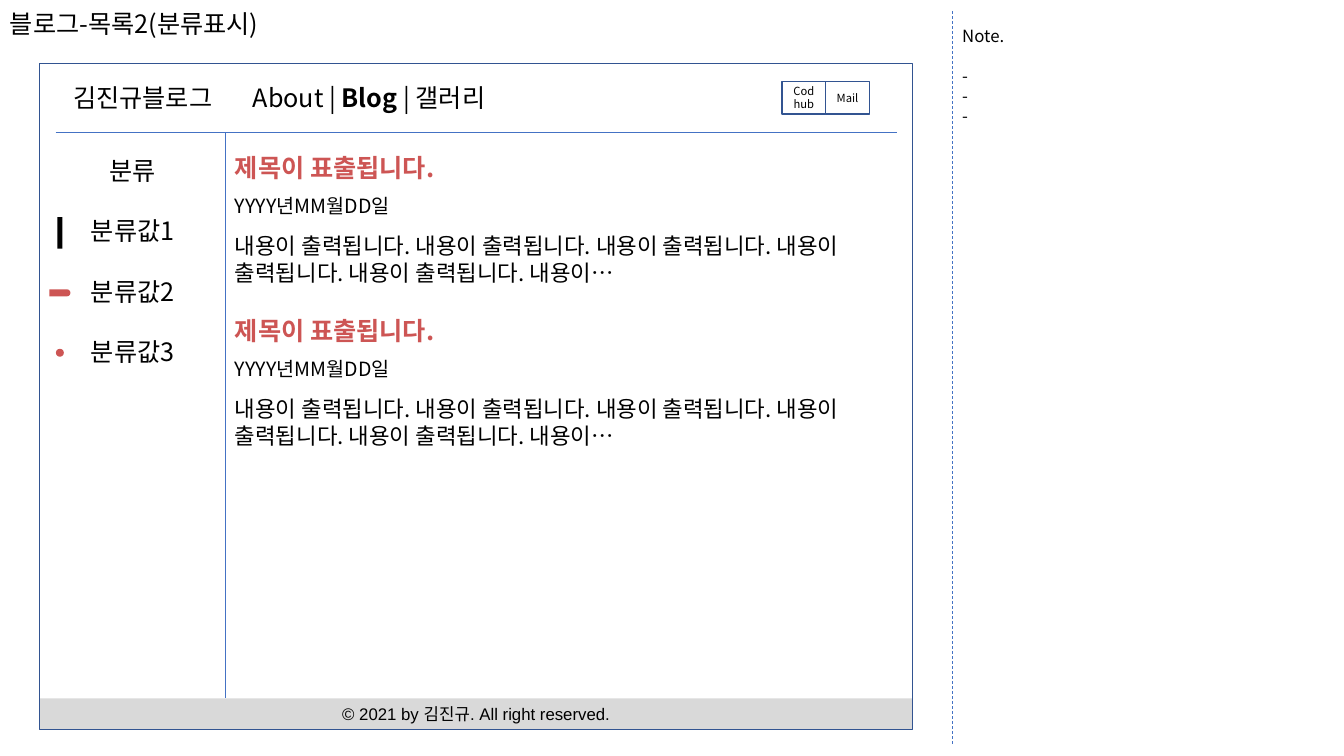
from dataclasses import dataclass

from lxml import etree
from pptx import Presentation
from pptx.dml.color import RGBColor
from pptx.enum.dml import MSO_LINE
from pptx.enum.shapes import MSO_CONNECTOR, MSO_SHAPE
from pptx.enum.text import MSO_ANCHOR, PP_ALIGN
from pptx.oxml.ns import qn
from pptx.util import Cm, Pt

LEFT, CENTER = PP_ALIGN.LEFT, PP_ALIGN.CENTER
TOP, MIDDLE = MSO_ANCHOR.TOP, MSO_ANCHOR.MIDDLE
RECT, OVAL = MSO_SHAPE.RECTANGLE, MSO_SHAPE.OVAL
HALF_ROUND = MSO_SHAPE.ROUND_2_SAME_RECTANGLE
STRAIGHT, DASH = MSO_CONNECTOR.STRAIGHT, MSO_LINE.DASH


@dataclass(frozen=True)
class Theme:
    """Colours, fonts and type sizes."""
    ink: str = "000000"
    accent: str = "CD5554"
    rule: str = "4472C4"
    border: str = "325491"
    footer: str = "D9D9D9"
    font: str = "Noto Sans CJK KR"
    footer_font: str = "Arial"
    heading: int = 18
    body: int = 16
    date: int = 14
    note: int = 12
    button: int = 8


THEME = Theme()

# Content
PAGE_TITLE = "블로그-목록2(분류표시)"
NOTES = ["Note.", "-", "-", "-"]
BLOG_NAME = "김진규블로그"
MENU = [("About | ", False), ("Blog", True), (" | 갤러리", False)]
BUTTONS = ["Codhub", "Mail"]
CATEGORIES = ["분류", "분류값1", "분류값2", "분류값3"]
POST = {
    "title": "제목이 표출됩니다.",
    "date": "YYYY년MM월DD일",
    "body": "내용이 출력됩니다. " * 5 + "내용이…",
}
POSTS = [POST, POST]
COPYRIGHT = "© 2021 by 김진규. All right reserved."

# Layout in centimetres
SLIDE_W, SLIDE_H = 33.87, 19.05
FRAME_X, FRAME_Y, FRAME_W, FRAME_H = 1, 1.6, 22, 16.79
HEADER_H, FOOTER_H, SIDEBAR_W = 1.73, 0.79, 4.69
HEADER_BOTTOM = FRAME_Y + HEADER_H
FOOTER_Y = FRAME_Y + FRAME_H - FOOTER_H
SIDEBAR_RIGHT = FRAME_X + SIDEBAR_W
NOTE_X, MENU_X = 24, 6.12
BUTTON_X, BUTTON_Y, BUTTON_W, BUTTON_H = 19.71, 2.06, 1.1, 0.81
POST_Y, POST_PITCH, POST_W = 3.71, 4.11, 17.32
INSET_X, INSET_Y = 0.25, 0.13
# part, offset from the post top, height, top inset, size, colour, bold
POST_PARTS = [
    ("title", 0, 1.02, INSET_Y, THEME.heading, THEME.accent, True),
    ("date", 1.04, 0.86, INSET_Y, THEME.date, THEME.ink, False),
    ("body", 1.88, 1.75, INSET_X, THEME.body, THEME.ink, False),
]
# shape, centre y, width, height, rotation, colour
MARKER_X = 1.51
MARKERS = [
    (RECT, 5.87, 0.13, 0.79, 0, THEME.ink),
    (OVAL, 8.89, 0.2, 0.2, 0, THEME.accent),
    (HALF_ROUND, 7.38, 0.18, 0.53, 90, THEME.accent),
]


def color(value):
    """Turn a hex string into a colour."""
    return RGBColor.from_string(value)


def add_span(para, text, size, ink=THEME.ink, bold=False, font=THEME.font):
    """Append one run to a paragraph."""
    span = para.add_run()
    span.text = text
    span.font.size, span.font.bold, span.font.name = Pt(size), bold, font
    span.font.color.rgb = color(ink)
    east_asian = etree.SubElement(span.font._element, qn("a:ea"))
    east_asian.set("typeface", THEME.font)


def set_frame(shape, align=LEFT, anchor=MIDDLE, top=INSET_Y):
    """Prepare a shape's text frame and return its first paragraph."""
    frame = shape.text_frame
    frame.word_wrap, frame.vertical_anchor = True, anchor
    frame.margin_left = frame.margin_right = Cm(INSET_X)
    frame.margin_top, frame.margin_bottom = Cm(top), Cm(INSET_Y)
    para = frame.paragraphs[0]
    para.alignment = align
    return para


def add_box(page, x, y, w, h, **layout):
    """Add a text box and return its first paragraph."""
    box = page.shapes.add_textbox(Cm(x), Cm(y), Cm(w), Cm(h))
    return set_frame(box, **layout)


def add_lines(para, frame, lines, size, gaps):
    """Fill a frame with one paragraph per line; gaps are points before each."""
    for index, (text, gap) in enumerate(zip(lines, gaps)):
        line = frame.add_paragraph() if index else para
        line.alignment = para.alignment
        line.space_before = Pt(gap)
        add_span(line, text, size)


def add_list(page, x, y, w, h, lines, size, gaps, **layout):
    """Add a text box holding several spaced lines."""
    box = page.shapes.add_textbox(Cm(x), Cm(y), Cm(w), Cm(h))
    add_lines(set_frame(box, **layout), box.text_frame, lines, size, gaps)


def add_figure(page, kind, x, y, w, h, fill=None, line=None, width=0.5):
    """Add a preset shape with an optional fill and outline."""
    shape = page.shapes.add_shape(kind, Cm(x), Cm(y), Cm(w), Cm(h))
    shape.shadow.inherit = False
    if fill:
        shape.fill.solid()
        shape.fill.fore_color.rgb = color(fill)
    else:
        shape.fill.background()
    if line:
        shape.line.color.rgb, shape.line.width = color(line), Pt(width)
    else:
        shape.line.fill.background()
    return shape


def add_rule(page, x1, y1, x2, y2, dash=None):
    """Add a thin straight line."""
    rule = page.shapes.add_connector(STRAIGHT, Cm(x1), Cm(y1), Cm(x2), Cm(y2))
    rule.line.color.rgb, rule.line.width = color(THEME.rule), Pt(0.5)
    if dash:
        rule.line.dash_style = dash
    etree.SubElement(rule._element.spPr, qn("a:effectLst"))


def add_header(page):
    """Add the blog name, menu, frame and link buttons."""
    name = add_box(page, 1.07, FRAME_Y, 5.05, HEADER_H, align=CENTER)
    add_span(name, BLOG_NAME, THEME.heading)
    menu = add_box(page, MENU_X, FRAME_Y, FRAME_X + FRAME_W - MENU_X, HEADER_H)
    for text, bold in MENU:
        add_span(menu, text, THEME.heading, bold=bold)
    add_figure(page, RECT, FRAME_X, FRAME_Y, FRAME_W, FRAME_H, line=THEME.border)
    for index, label in enumerate(BUTTONS):
        button = add_figure(page, RECT, BUTTON_X + index * BUTTON_W, BUTTON_Y,
                            BUTTON_W, BUTTON_H, line=THEME.border, width=1)
        add_span(set_frame(button, align=CENTER), label, THEME.button)


def add_post(page, post, top):
    """Add the title, date and summary of one post."""
    for part, offset, height, inset, size, ink, bold in POST_PARTS:
        para = add_box(page, SIDEBAR_RIGHT - 0.02, top + offset, POST_W, height,
                       top=inset)
        add_span(para, post[part], size, ink, bold)


def build():
    """Build and save the slide."""
    deck = Presentation()
    deck.slide_width, deck.slide_height = Cm(SLIDE_W), Cm(SLIDE_H)
    page = deck.slides.add_slide(deck.slide_layouts[6])

    add_span(add_box(page, 0, 0, NOTE_X, 1.19), PAGE_TITLE, THEME.heading)
    add_list(page, NOTE_X, 0, SLIDE_W - NOTE_X, SLIDE_H, NOTES, THEME.note,
             [0, 14.4, 0, 0], anchor=TOP, top=0.64)
    add_rule(page, NOTE_X, 0.28, NOTE_X, SLIDE_H - 0.28, DASH)

    footer = add_figure(page, RECT, FRAME_X, FOOTER_Y, FRAME_W, FOOTER_H,
                        fill=THEME.footer)
    add_span(set_frame(footer, align=CENTER), COPYRIGHT, THEME.note,
             font=THEME.footer_font)
    add_header(page)

    add_rule(page, SIDEBAR_RIGHT, HEADER_BOTTOM, SIDEBAR_RIGHT, FOOTER_Y)
    add_list(page, FRAME_X, HEADER_BOTTOM, SIDEBAR_W, 6.15, CATEGORIES,
             THEME.heading, [0, 21.6, 21.6, 21.6], align=CENTER, top=0.46)
    for index, post in enumerate(POSTS):
        add_post(page, post, POST_Y + index * POST_PITCH)
    for kind, middle, width, height, turn, fill in MARKERS:
        marker = add_figure(page, kind, MARKER_X - width / 2, middle - height / 2,
                            width, height, fill=fill)
        marker.rotation = turn
        if kind == HALF_ROUND:
            marker.adjustments[0] = 0.5
    add_rule(page, 1.4, HEADER_BOTTOM, 22.6, HEADER_BOTTOM)
    deck.save("out.pptx")


build()
